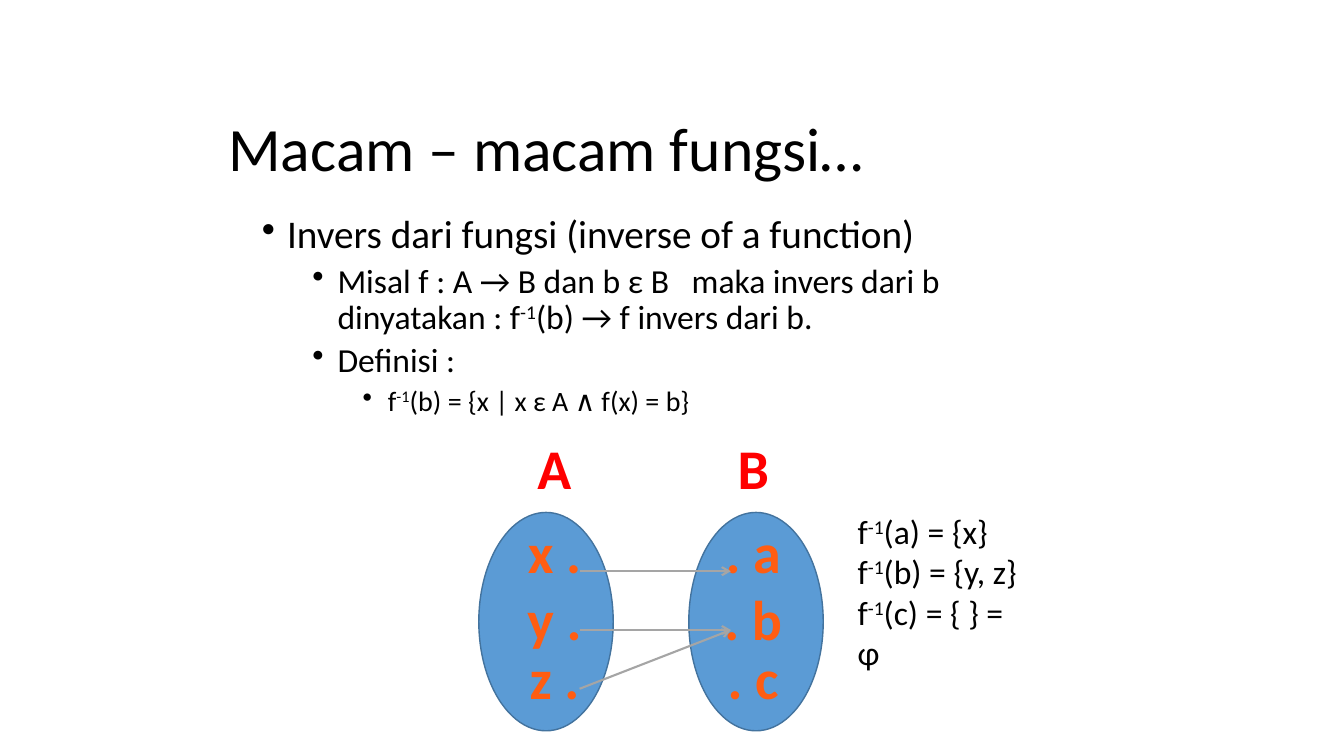
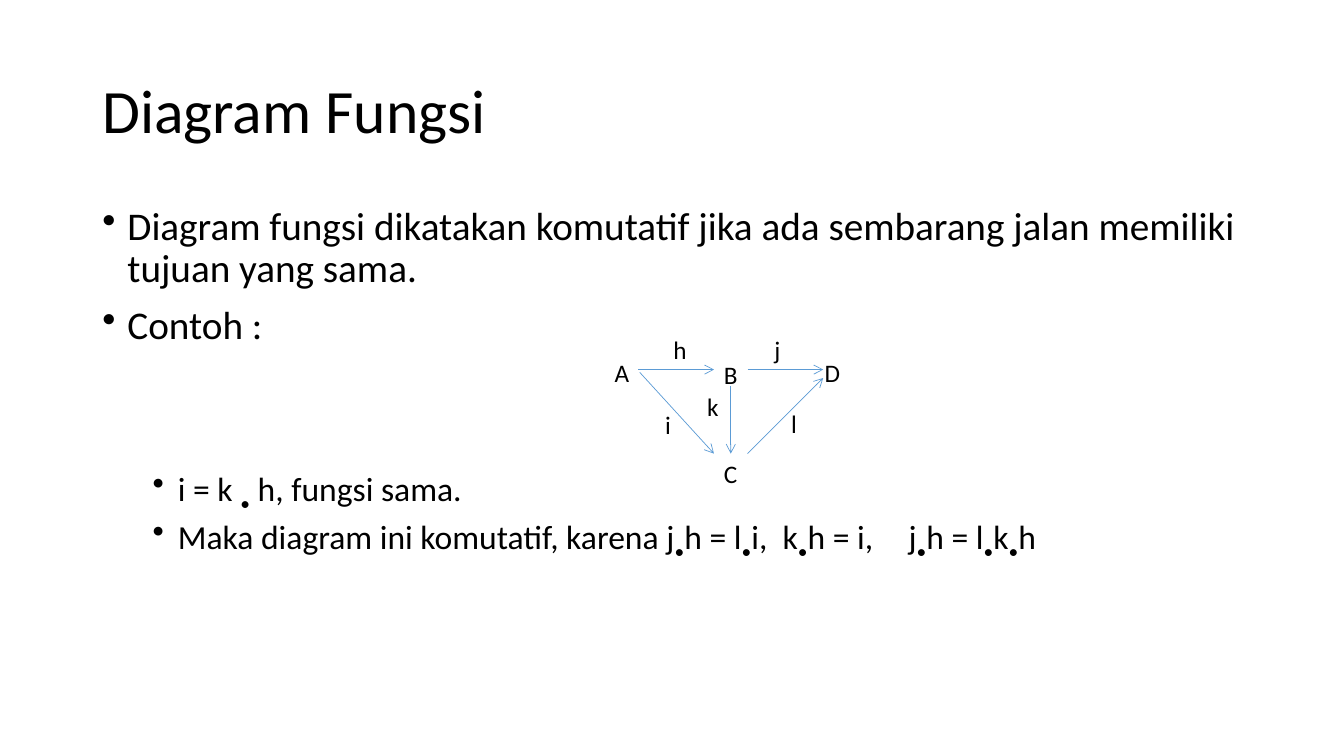
import pptx
import pptx.util
import pptx.dml.color
import pptx.enum.shapes
import pptx.enum.text
import pptx.oxml
import pptx.oxml.ns

Pt = pptx.util.Pt
RGBColor = pptx.dml.color.RGBColor
ALIGN = pptx.enum.text.PP_ALIGN
ANCHOR = pptx.enum.text.MSO_ANCHOR
SHAPE = pptx.enum.shapes.MSO_SHAPE
LINK = pptx.enum.shapes.MSO_CONNECTOR

BLACK = RGBColor(0x00, 0x00, 0x00)
RED = RGBColor(0xFF, 0x00, 0x00)
ORANGE = RGBColor(0xFF, 0x5D, 0x12)
BLUE = RGBColor(0x5B, 0x9B, 0xD5)
NAVY = RGBColor(0x43, 0x73, 0x9E)
GRAY = RGBColor(0xA5, 0xA5, 0xA5)

FACE = "Calibri"
SHIFT = {"-1": "30000", "•": "-25000"}
SIZES = (28, 24, 20)
GAPS = (10, 5, 5)


def child(parent, tag, **attrs):
    node = pptx.oxml.parse_xml(f"<a:{tag} {pptx.oxml.ns.nsdecls('a')}/>")
    for name, value in attrs.items():
        node.set(name, str(value))
    parent.append(node)
    return node


def apply(target, values):
    for name, value in values.items():
        setattr(target, name, value)


def frame(slide, box, **values):
    area = slide.shapes.add_textbox(*map(Pt, box)).text_frame
    apply(area, {"word_wrap": True, **values})
    return area


def write(para, text, size, color=BLACK, bold=False):
    for index, piece in enumerate(text.split("~")):
        run = para.add_run()
        run.text = piece
        apply(run.font, {"name": FACE, "size": Pt(size), "bold": bold})
        run.font.color.rgb = color
        if index % 2:
            run.font._element.set("baseline", SHIFT[piece])


def label(slide, box, text, size, align=ALIGN.LEFT, **style):
    para = frame(slide, box, word_wrap=False).paragraphs[0]
    para.alignment = align
    write(para, text, size, **style)


def title(slide, box, text):
    para = frame(slide, box, vertical_anchor=ANCHOR.MIDDLE).paragraphs[0]
    para.line_spacing = 0.9
    write(para, text, 44)


def body(slide, box, items):
    area = frame(slide, box)
    for index, (level, text, extra, tabs) in enumerate(items):
        para = area.add_paragraph() if index else area.paragraphs[0]
        props = para._p.get_or_add_pPr()
        props.set("marL", str(Pt(18 + 36 * level)))
        props.set("indent", str(Pt(-18)))
        child(props, "buChar", char="•")
        if tabs:
            stops = child(props, "tabLst")
            for place in tabs:
                child(stops, "tab", pos=Pt(place), algn="l")
        gap = GAPS[level] + extra if index else 0
        apply(para, {"level": level, "line_spacing": 0.9, "space_before": Pt(gap)})
        write(para, text, SIZES[level])


def arrow(slide, left, top, ends, color, width):
    x1, y1, x2, y2 = ends
    points = (left + x1, top + y1, left + x2, top + y2)
    link = slide.shapes.add_connector(LINK.STRAIGHT, *map(Pt, points))
    link.line.color.rgb = color
    link.line.width = Pt(width)
    child(link.line._get_or_add_ln(), "tailEnd", type="arrow")
    child(link._element.spPr, "effectLst")


def oval(slide, left, top, name, mid, items):
    shape = slide.shapes.add_shape(SHAPE.OVAL, *map(Pt, (left, top, 96, 156)))
    shape.shadow.inherit = False
    shape.fill.solid()
    shape.fill.fore_color.rgb = BLUE
    shape.line.color.rgb = NAVY
    shape.line.width = Pt(1)
    rows = [(name, -60, RED)]
    rows += [(text, drop, ORANGE) for text, drop in zip(items, (0, 48, 90))]
    for text, drop, color in rows:
        box = (left + mid - 30, top + drop, 60, 55)
        label(slide, box, text, 40, ALIGN.CENTER, color=color, bold=True)


def mapping(slide, left, top):
    oval(slide, left, top, "A", 54, ("x .", "y .", "z ."))
    oval(slide, left + 150, top, "B", 46, (". a", ". b", ". c"))
    for start, end in ((42, 42), (84, 84), (126, 84)):
        arrow(slide, left, top, (72, start, 180, end), GRAY, 1.5)


def answers(slide, box):
    area = frame(slide, box)
    for index, text in enumerate(("(a) = {x}", "(b) = {y, z}", "(c) = { } = φ")):
        para = area.add_paragraph() if index else area.paragraphs[0]
        write(para, "f~-1~" + text, 24)


def graph(slide, left, top):
    arrows = (
        (24, 30, 78, 30),
        (102, 30, 156, 30),
        (25, 32, 78, 90),
        (102, 90, 156, 36),
        (90, 42, 90, 90),
    )
    for ends in arrows:
        arrow(slide, left, top, ends, BLUE, 0.5)
    names = {
        "A": (0, 18), "B": (78, 19), "C": (78, 90), "D": (150, 18),
        "h": (42, 1), "j": (114, 1), "i": (36, 55), "k": (66, 42), "l": (126, 54),
    }
    for name, (x, y) in names.items():
        label(slide, (left + x, top + y, 25, 29), name, 18)


def inverse(slide):
    title(slide, (156, 72, 660, 72), "Macam – macam fungsi…")
    body(slide, (180, 150, 594, 168), (
        (0, "Invers dari fungsi (inverse of a function)", 0, ()),
        (1, "Misal f : A → B dan b ε B\tmaka invers dari b dinyatakan : "
            "f~-1~(b) → f invers dari b.", 0, (307,)),
        (1, "Definisi :", 0, ()),
        (2, "f~-1~(b) = {x | x ε A ∧ f(x) = b}", 0, ()),
    ))
    mapping(slide, 342, 366)
    answers(slide, (605.5, 361.5, 139, 94))


def diagram(slide):
    title(slide, (66, 28.75, 828, 104.5), "Diagram Fungsi")
    body(slide, (66, 144, 828, 342.5), (
        (0, "Diagram fungsi dikatakan komutatif jika ada sembarang jalan "
            "memiliki tujuan yang sama.", 0, ()),
        (0, "Contoh :", 0, ()),
        (1, "i = k ~•~ h, fungsi sama.", 81.5, ()),
        (1, "Maka diagram ini komutatif, karena j~•~h = l~•~i,\tk~•~h = i,"
            "\tj~•~h = l~•~k~•~h", 0, (486, 576)),
    ))
    graph(slide, 432, 234)


def main():
    deck = pptx.Presentation()
    apply(deck, {"slide_width": Pt(960), "slide_height": Pt(540)})
    for build in (inverse, diagram):
        build(deck.slides.add_slide(deck.slide_layouts[6]))
    deck.save("out.pptx")


if __name__ == "__main__":
    main()
